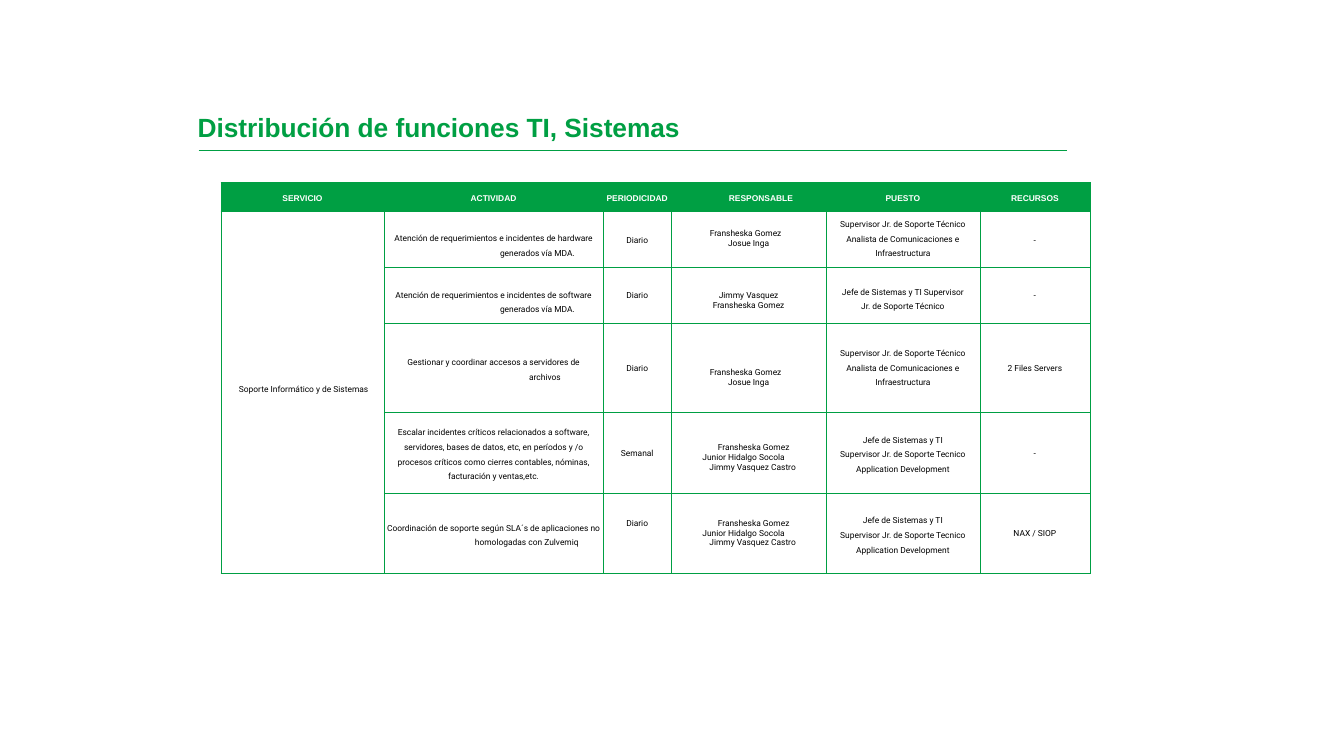
"""Build the slide that lists how IT and systems duties are shared out."""
from lxml.etree import SubElement
from pptx import Presentation
from pptx.dml.color import RGBColor
from pptx.enum.shapes import MSO_CONNECTOR as Connector
from pptx.enum.text import MSO_ANCHOR as Anchor, PP_ALIGN as Align
from pptx.oxml.ns import qn
from pptx.util import Inches, Pt

COLORS = {"green": "009F43", "black": "000000", "white": "FFFFFF"}
COLUMN_WIDTHS = [1.62, 2.17, 0.68, 1.53, 1.53, 1.09]
ROW_HEIGHTS = [0.28, 0.56, 0.56, 0.88, 0.8, 0.8]
HEADERS = ["SERVICIO", "ACTIVIDAD", "PERIODICIDAD", "RESPONSABLE", "PUESTO", "RECURSOS"]

ANALYST_POSTS = ["Supervisor Jr. de Soporte Técnico Analista de Comunicaciones e Infraestructura"]
DEVELOPER_POSTS = ["Jefe de Sistemas y TI", "Supervisor Jr. de Soporte Tecnico", "Application Development"]
FIRST_PAIR = dict(lines=["Fransheska Gomez", "Josue Inga"], indents=[0.04, 0.1])
TRIO = dict(lines=["Fransheska Gomez", "Junior Hidalgo Socola", "Jimmy Vasquez Castro"],
            indents=[0.2, 0, 0.18])

COLUMN_FORMATS = [
    dict(spacing=1.49),
    dict(),
    dict(right=0.1),
    dict(spacing=1.5, left=0.13, right=0.13),
    dict(),
]
DUTIES = [
    [dict(lines=["Atención de requerimientos e incidentes de hardware generados vía MDA."], hanging=0.87, shift=0.1),
     dict(lines=["Diario"], shift=0.04),
     FIRST_PAIR,
     dict(lines=ANALYST_POSTS, shift=-0.04),
     dict(lines=["-"], shift=0.04)],
    [dict(lines=["Atención de requerimientos e incidentes de software generados vía MDA."], hanging=0.87, shift=0.1),
     dict(lines=["Diario"], shift=0.01),
     dict(lines=["Jimmy Vasquez", "Fransheska Gomez"], indents=[0.1, 0.1], shift=0.1),
     dict(lines=["Jefe de Sistemas y TI Supervisor Jr. de Soporte Técnico"], shift=0.04),
     dict(lines=["-"], shift=0.01)],
    [dict(lines=["Gestionar y coordinar accesos a servidores de archivos"], hanging=1.02, left=0.2, right=0.2),
     dict(lines=["Diario"], shift=0.02),
     dict(FIRST_PAIR, shift=0.2),
     dict(lines=ANALYST_POSTS, shift=-0.04),
     dict(lines=["2 Files Servers"], shift=0.02)],
    [dict(lines=["Escalar incidentes críticos relacionados a software, servidores, bases de datos, etc, "
                 "en períodos y /o procesos críticos como cierres contables, nóminas, "
                 "facturación y ventas,etc."], left=0.08, right=0.08),
     dict(lines=["Semanal"], shift=0.03),
     dict(TRIO, shift=0.1),
     dict(lines=DEVELOPER_POSTS),
     dict(lines=["-"], shift=0.03)],
    [dict(lines=["Coordinación de soporte según SLA´s de aplicaciones no homologadas con Zulvemiq"], hanging=0.66),
     dict(lines=["Diario"], shift=-0.18),
     TRIO,
     dict(lines=DEVELOPER_POSTS),
     dict(lines=["NAX / SIOP"])],
]


def write(paragraph, text, size=6, font="Roboto", color="black", bold=False,
          align=Align.CENTER, spacing=None, indent=0, hanging=0, tracking=0):
    run = paragraph.add_run()
    run.text = text
    run.font.size = Pt(size)
    run.font.name = font
    run.font.bold = bold
    run.font.color.rgb = RGBColor.from_string(COLORS[color])
    run._r.get_or_add_rPr().set("spc", str(tracking))
    paragraph.alignment = align
    if spacing:
        paragraph.line_spacing = spacing
    properties = paragraph._p.get_or_add_pPr()
    properties.set("marL", str(Inches(indent + hanging)))
    properties.set("indent", str(Inches(-hanging)))


class DutySlide:
    def __init__(self, slide, line_color="green"):
        self.slide = slide
        self.line_color = line_color

    def title(self, text, left, top, width, height):
        shape = self.slide.shapes.add_textbox(Inches(left), Inches(top), Inches(width), Inches(height))
        frame = shape.text_frame
        frame.word_wrap = True
        frame.margin_left = frame.margin_right = frame.margin_bottom = 0
        frame.margin_top = Inches(0.01)
        write(frame.paragraphs[0], text, size=18.8, font="Arial", color="green",
              bold=True, align=Align.LEFT, indent=0.01, tracking=-5)

    def rule(self, left, right, top):
        line = self.slide.shapes.add_connector(
            Connector.STRAIGHT, Inches(left), Inches(top), Inches(right), Inches(top))
        line.line.color.rgb = RGBColor.from_string(COLORS[self.line_color])
        line.line.width = Pt(0.5)
        SubElement(line._element.spPr, qn("a:effectLst"))

    def table(self, left, top, widths, heights):
        frame = self.slide.shapes.add_table(
            len(heights), len(widths), Inches(left), Inches(top), Inches(sum(widths)), Inches(sum(heights)))
        table = frame.table
        table.first_row = table.horz_banding = False
        for column, width in zip(table.columns, widths):
            column.width = Inches(width)
        for row, height in zip(table.rows, heights):
            row.height = Inches(height)
            for cell in row.cells:
                self.border(cell)
                cell.fill.background()
        return table

    def border(self, cell):
        properties = cell._tc.get_or_add_tcPr()
        for side in ("lnL", "lnR", "lnT", "lnB"):
            edge = SubElement(properties, qn(f"a:{side}"), w=str(Pt(0.25)))
            fill = SubElement(edge, qn("a:solidFill"))
            SubElement(fill, qn("a:srgbClr"), val=COLORS[self.line_color])

    def cell(self, cell, lines, indents=None, shift=0, left=0, right=0, fill=None, **text_format):
        cell.vertical_anchor = Anchor.MIDDLE
        cell.margin_left, cell.margin_right = Inches(left), Inches(right)
        cell.margin_top, cell.margin_bottom = Inches(max(shift, 0)), Inches(max(-shift, 0))
        if fill:
            cell.fill.solid()
            cell.fill.fore_color.rgb = RGBColor.from_string(COLORS[fill])
        frame = cell.text_frame
        for number, text in enumerate(lines):
            paragraph = frame.add_paragraph() if number else frame.paragraphs[0]
            write(paragraph, text, indent=indents[number] if indents else 0, **text_format)


def main():
    presentation = Presentation()
    presentation.slide_width, presentation.slide_height = Inches(13.33), Inches(7.5)
    page = DutySlide(presentation.slides.add_slide(presentation.slide_layouts[6]))
    page.rule(1.97, 10.58, 1.49)
    table = page.table(2.19, 1.81, COLUMN_WIDTHS, ROW_HEIGHTS)
    for column, header in enumerate(HEADERS):
        placing = dict(align=Align.LEFT, left=0.57) if header == "RESPONSABLE" else {}
        page.cell(table.cell(0, column), [header], shift=0.04, fill="green",
                  font="Arial", color="white", bold=True, **placing)
    table.cell(1, 0).merge(table.cell(len(DUTIES), 0))
    page.cell(table.cell(1, 0), ["Soporte Informático y de Sistemas"],
              align=Align.LEFT, left=0.18, shift=-0.05)
    for row, duty in enumerate(DUTIES, start=1):
        for column, (column_format, content) in enumerate(zip(COLUMN_FORMATS, duty), start=1):
            page.cell(table.cell(row, column), **{**column_format, **content})
    page.title("Distribución de funciones TI, Sistemas", 1.95, 1.09, 4.95, 0.33)
    presentation.save("out.pptx")


if __name__ == "__main__":
    main()
